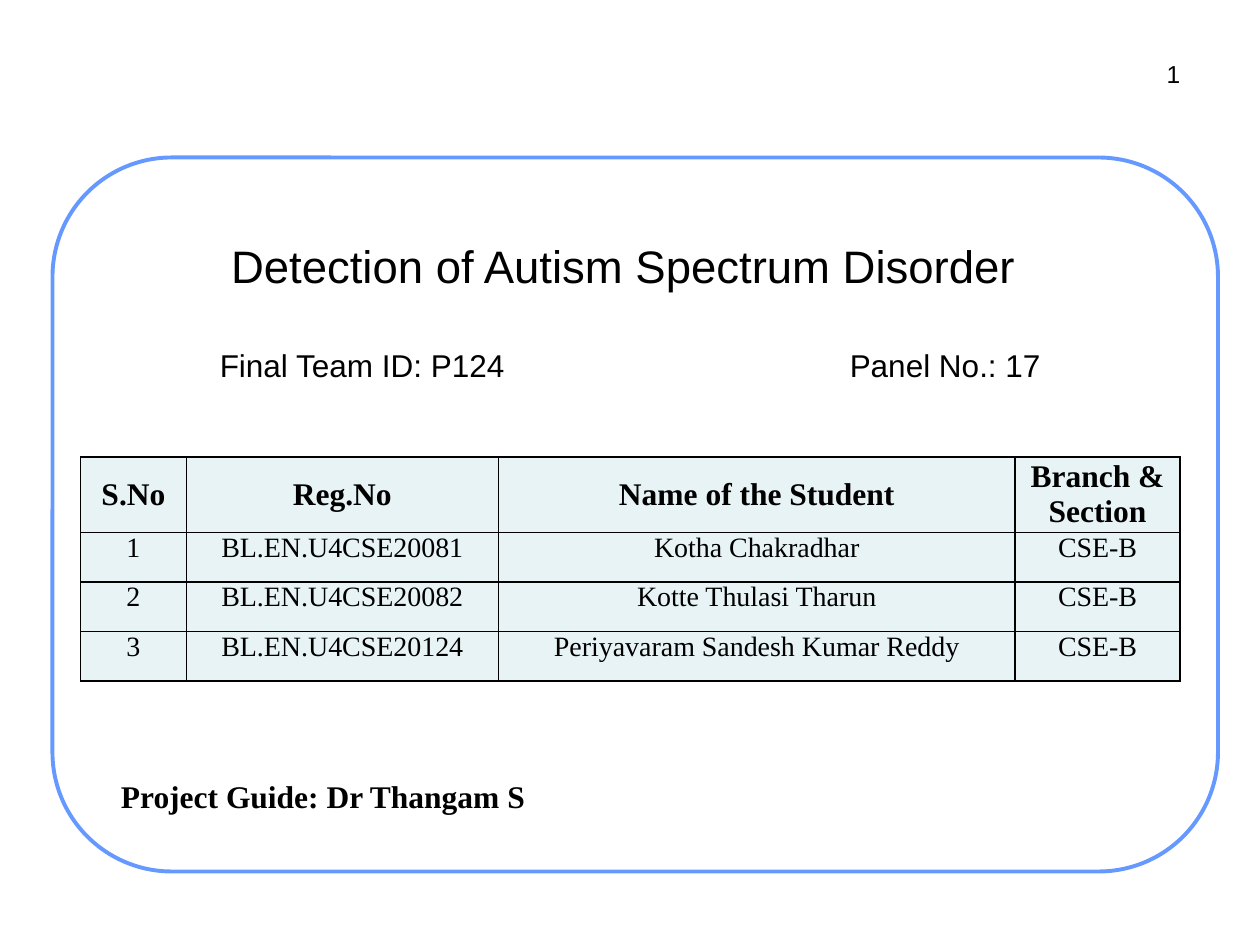
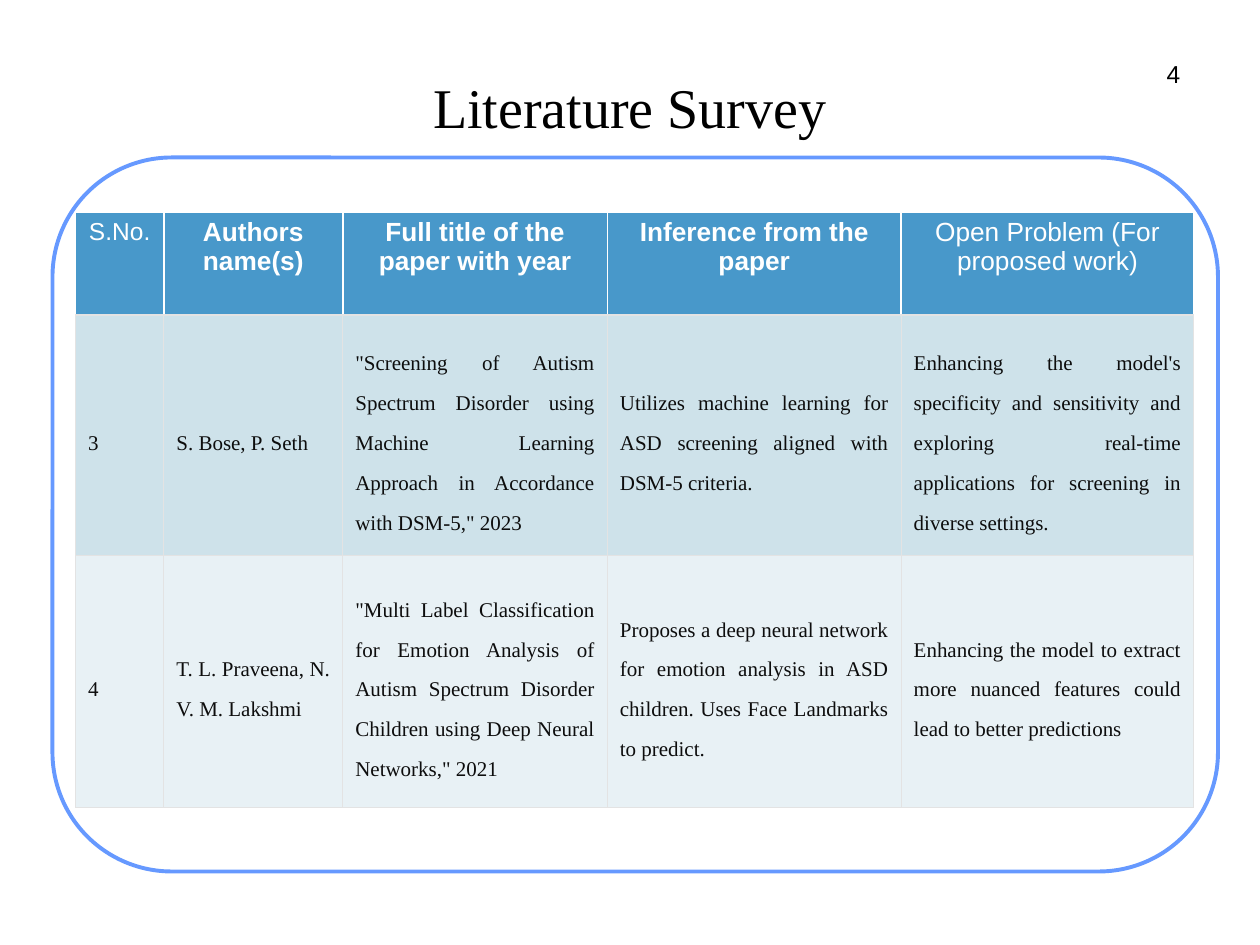
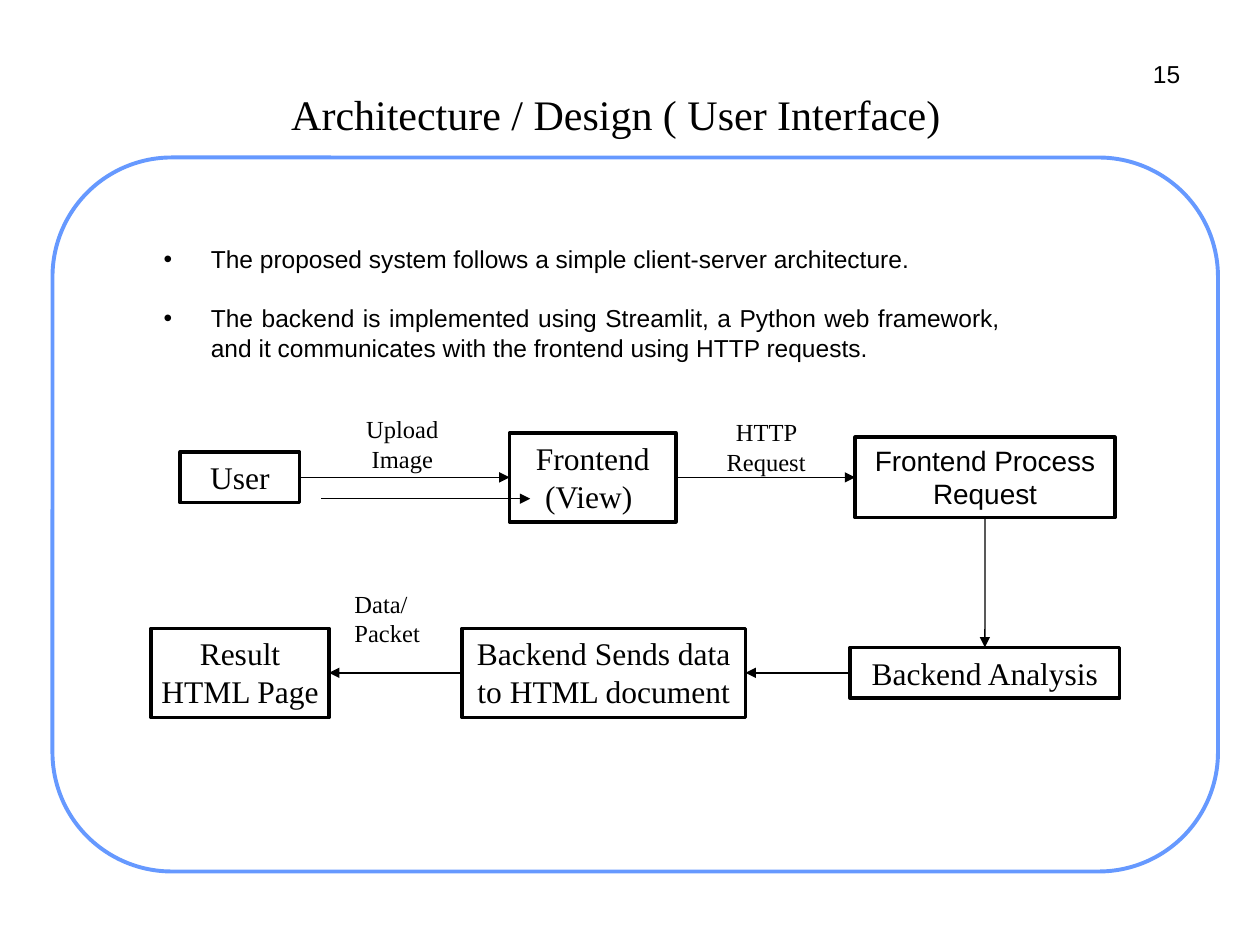
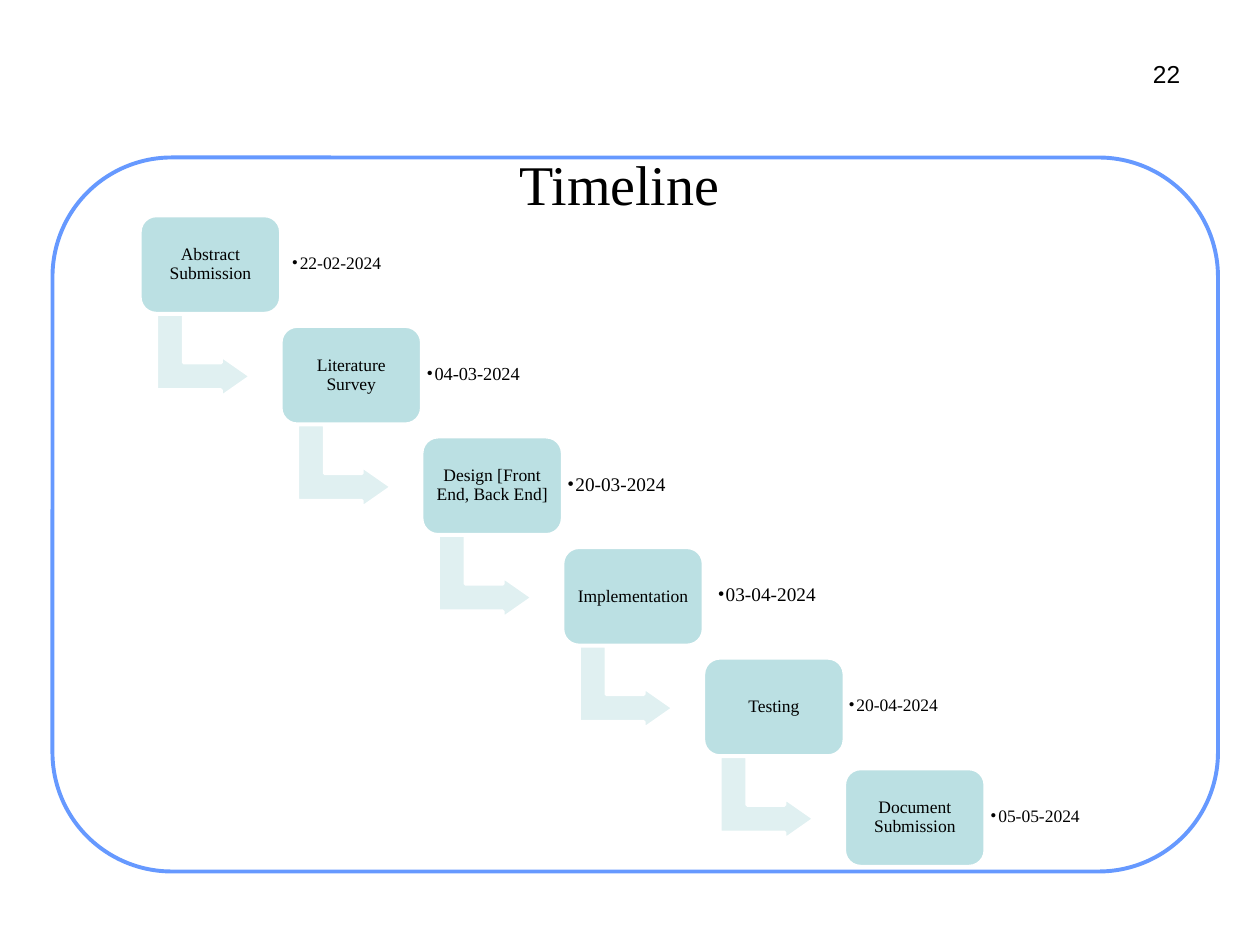
from lxml import etree
from pptx import Presentation
from pptx.dml.color import RGBColor
from pptx.enum.shapes import MSO_CONNECTOR, MSO_SHAPE
from pptx.enum.text import MSO_ANCHOR, PP_ALIGN
from pptx.oxml.ns import qn
from pptx.util import Pt

LEFT, MID, RIGHT, FULL = PP_ALIGN.LEFT, PP_ALIGN.CENTER, PP_ALIGN.RIGHT, PP_ALIGN.JUSTIFY
TOP, CENTER = MSO_ANCHOR.TOP, MSO_ANCHOR.MIDDLE
RECT, ROUND, BENT = MSO_SHAPE.RECTANGLE, MSO_SHAPE.ROUNDED_RECTANGLE, MSO_SHAPE.BENT_UP_ARROW
STRAIGHT = MSO_CONNECTOR.STRAIGHT
NORTH, WEST, SOUTH, EAST = range(4)
SANS, SERIF = "Arial", "Times New Roman"
BLACK, WHITE, INK, GRID = "000000", "FFFFFF", "0D0D0D", "E3E3E3"
FRAME, HEAD, ODD, EVEN = "6699FF", "4898CA", "CEE2EA", "E8F1F5"
PALE, STEP, BEND = "E7F3F4", "BBE0E3", "E0F0F1"


def color(code):
    """Turn a hex string into a colour."""
    return RGBColor.from_string(code)


def add(parent, tag, **attrs):
    """Append a drawing element with its attributes."""
    return etree.SubElement(parent, qn("a:" + tag), attrs)


def paint(parent, code):
    """Append a solid fill."""
    add(add(parent, "solidFill"), "srgbClr", val=code)


def edge(cell, sides):
    """Draw cell borders from a map of side to colour and width."""
    props = cell._tc.get_or_add_tcPr()
    for side, (code, width) in sides.items():
        paint(add(props, "ln" + side, w=str(int(Pt(width)))), code)


def bullet(par, left, hang, face):
    """Give a paragraph a black bullet with a hanging indent."""
    props = par._p.get_or_add_pPr()
    props.set("marL", str(int(Pt(left))))
    props.set("indent", str(-int(Pt(hang))))
    add(add(props, "buClr"), "srgbClr", val=BLACK)
    add(props, "buFont", typeface=face)
    add(props, "buChar", char="•")


def tabs(par, *stops):
    """Set left tab stops."""
    row = add(par._p.get_or_add_pPr(), "tabLst")
    for stop in stops:
        add(row, "tab", pos=str(int(Pt(stop))), algn="l")


def style(pars, size, face=SERIF, tint=BLACK, bold=False, align=MID, space=None):
    """Format paragraphs and their runs."""
    for par in pars:
        par.alignment = align
        if space:
            par.line_spacing = space
        for run in par.runs:
            font = run.font
            font.size, font.name, font.bold = Pt(size), face, bold
            font.color.rgb = color(tint)


class Deck:
    """Holds the style and the current slide."""

    def __init__(self):
        """Start an empty deck."""
        self.file = Presentation()
        self.file.slide_width, self.file.slide_height = Pt(720), Pt(540)
        self.shapes = None

    def page(self, number):
        """Add a slide with the blue frame and its number."""
        self.shapes = self.file.slides.add_slide(self.file.slide_layouts[6]).shapes
        self.shape(ROUND, 30, 90, 666, 408, WHITE, FRAME, 2.25)
        wide = 8 + 7.8 * len(number)
        self.text(number, 678 - wide, 30, wide, 24, 14, face=SANS, align=RIGHT)

    def title(self, text, x, y, w, h, size=32):
        """Add a slide title."""
        return self.text(text, x, y, w, h, size, anchor=CENTER)

    def fill(self, frame, text, size, inset=3.6, anchor=TOP, **look):
        """Put formatted text in a frame."""
        frame.word_wrap, frame.vertical_anchor = True, anchor
        frame.margin_left = frame.margin_right = Pt(inset)
        frame.margin_top = frame.margin_bottom = Pt(min(inset, 3.6))
        frame.text = text
        style(frame.paragraphs, size, **look)
        return frame.paragraphs

    def text(self, text, x, y, w, h, size, **look):
        """Add a text box and return its paragraphs."""
        box = self.shapes.add_textbox(Pt(x), Pt(y), Pt(w), Pt(h))
        return self.fill(box.text_frame, text, size, **look)

    def shape(self, kind, x, y, w, h, fill, line, width, adjust=(0.167,)):
        """Add a preset shape."""
        item = self.shapes.add_shape(kind, Pt(x), Pt(y), Pt(w), Pt(h))
        item.shadow.inherit = False
        item.fill.solid()
        item.fill.fore_color.rgb = color(fill)
        item.line.color.rgb = color(line)
        item.line.width = Pt(width)
        if kind != RECT:
            for i, value in enumerate(adjust):
                item.adjustments[i] = value
        return item

    def node(self, text, x, mid, w, h, size=18, face=SERIF):
        """Add a flow box centred on a row."""
        item = self.shape(RECT, x, mid - h / 2, w, h, WHITE, BLACK, 2)
        self.fill(item.text_frame, text, size, face=face)
        return item

    def arrow(self, x1, y1, x2, y2):
        """Add a straight arrow."""
        item = self.shapes.add_connector(STRAIGHT, Pt(x1), Pt(y1), Pt(x2), Pt(y2))
        item.line.color.rgb = color(BLACK)
        item.line.width = Pt(0.75)
        props = item.element.spPr
        add(props.find(qn("a:ln")), "tailEnd", type="triangle")
        add(props, "effectLst")
        return item

    def link(self, start, out, end, into):
        """Join two flow boxes with an arrow."""
        item = self.arrow(0, 0, 1, 1)
        item.begin_connect(start, out)
        item.end_connect(end, into)

    def table(self, rows, x, y, widths, heights, look):
        """Add a table; look(row, col) gives fill, borders, margins, anchor and font."""
        frame = self.shapes.add_table(len(rows), len(widths), Pt(x), Pt(y),
                                      Pt(sum(widths)), Pt(sum(heights)))
        grid = frame.table
        grid.first_row = grid.horz_banding = False
        for col, width in zip(grid.columns, widths):
            col.width = Pt(width)
        for r, (row, height) in enumerate(zip(rows, heights)):
            grid.rows[r].height = Pt(height)
            for c, text in enumerate(row):
                fill, sides, (side, top), anchor, font = look(r, c)
                cell = grid.cell(r, c)
                edge(cell, sides)
                cell.fill.solid()
                cell.fill.fore_color.rgb = color(fill)
                cell.margin_left = cell.margin_right = Pt(side)
                cell.margin_top = cell.margin_bottom = Pt(top)
                cell.vertical_anchor = anchor
                cell.text_frame.text = text
                style(cell.text_frame.paragraphs, **font)


def team_look(row, col):
    """Style the team table."""
    head = row == 0
    font = {"size": 18 if head else 16, "bold": head}
    return PALE, dict.fromkeys("LRTB", (BLACK, 1)), (0, 0), CENTER if head else TOP, font


def survey_look(row, col):
    """Style the survey table."""
    if row == 0:
        sides = {**dict.fromkeys("LRT", (WHITE, 1)), "B": (GRID, 0.75)}
        font = {"size": 15 if col else 14, "face": SANS, "tint": WHITE, "bold": 0 < col < 4}
        return HEAD, sides, (7.2, 3.6), TOP, font
    font = {"size": 12, "tint": INK, "align": FULL, "space": 1.71}
    sides = dict.fromkeys("LRTB", (GRID, 0.8))
    return ODD if row % 2 else EVEN, sides, (7.2, 7.2), CENTER, font


def cover(deck):
    """Build the team slide."""
    deck.page("1")
    name, team = deck.title("Detection of Autism Spectrum Disorder \n"
                            "\tFinal Team ID: P124\tPanel No.: 17", 57, 102.4, 606, 150.5)
    style([name], 26, SANS)
    tabs(team, 65, 425)
    team.space_before = Pt(31)
    style([team], 18, SANS, align=LEFT)
    people = [
        ("S.No", "Reg.No", "Name of the Student", "Branch & Section"),
        ("1", "BL.EN.U4CSE20081", "Kotha Chakradhar", "CSE-B"),
        ("2", "BL.EN.U4CSE20082", "Kotte Thulasi Tharun", "CSE-B"),
        ("3", "BL.EN.U4CSE20124", "Periyavaram Sandesh Kumar Reddy", "CSE-B"),
    ]
    deck.table(people, 46, 261, (60.5, 178.3, 295.3, 94.2), (40, 28.3, 28.3, 28.3), team_look)
    deck.text("Project Guide: Dr Thangam S", 65.5, 440.3, 379.5, 29, 18, bold=True, align=LEFT)


def survey(deck):
    """Build the literature slide."""
    deck.page("4")
    deck.title("Literature Survey", 90, 29, 540, 63)
    papers = [
        ("S.No.", "Authors name(s)", "Full title of the paper with year",
         "Inference from the paper", "Open Problem (For proposed work)"),
        ("3", "S. Bose, P. Seth",
         '"Screening of Autism Spectrum Disorder using Machine Learning Approach '
         'in Accordance with DSM-5," 2023',
         "Utilizes machine learning for ASD screening aligned with DSM-5 criteria.",
         "Enhancing the model's specificity and sensitivity and exploring real-time "
         "applications for screening in diverse settings."),
        ("4", "T. L. Praveena, N. V. M. Lakshmi",
         '"Multi Label Classification for Emotion Analysis of Autism Spectrum Disorder '
         'Children using Deep Neural Networks," 2021',
         "Proposes a deep neural network for emotion analysis in ASD children. "
         "Uses Face Landmarks to predict.",
         "Enhancing the model to extract more nuanced features could lead to "
         "better predictions"),
    ]
    deck.table(papers, 43.2, 121, (50.4, 102.3, 151.2, 167.9, 167.2), (59, 129, 144),
               survey_look)


def design(deck):
    """Build the architecture slide."""
    deck.page("15")
    deck.title("Architecture / Design ( User Interface) ", 67, 30, 576, 70, 24)
    points = deck.text(
        "The proposed system follows a simple client-server architecture.\n"
        "The backend is implemented using Streamlit, a Python web framework, "
        "and it communicates with the frontend using HTTP requests.",
        86.4, 136, 492.5, 75, 14, face=SANS, align=FULL, inset=7.2)
    for par in points:
        bullet(par, 27, 27, SANS)
    points[1].space_before = Pt(17)
    upper, lower = 272.8, 384.5
    user = deck.node("User", 103, upper, 68.2, 29)
    view = deck.node("Frontend (View) ", 291.2, upper, 95, 51)
    ask = deck.node("Frontend Process Request", 488.7, upper, 148.4, 46, 16, SANS)
    study = deck.node("Backend Analysis", 485.8, lower, 154, 29)
    send = deck.node("Backend Sends data to HTML document", 264, lower, 162, 51)
    result = deck.node("Result HTML Page", 86.4, lower, 101.6, 51)
    deck.link(user, EAST, view, WEST)
    deck.link(view, EAST, ask, WEST)
    deck.link(ask, SOUTH, study, NORTH)
    deck.link(study, WEST, send, EAST)
    deck.link(send, WEST, result, EAST)
    deck.arrow(183.5, 285, 303, 285)
    deck.text("Upload Image", 195.7, 233.2, 68.4, 41, 14)
    deck.text("HTTP Request", 408.3, 235, 59, 41, 14)
    deck.text("Data/ Packet", 199, 333, 55.4, 41, 14, align=LEFT)


def timeline(deck):
    """Build the timeline slide."""
    deck.page("22")
    deck.title("Timeline", 30, 75.6, 648, 58)
    steps = [
        ("Abstract Submission", "22-02-2024", 10, 3.3, 117),
        ("Literature Survey", "04-03-2024", 10.5, -0.8, 143),
        ("Design [Front End, Back End]", "20-03-2024", 11, -0.8, 130),
        ("Implementation", "03-04-2024", 11, 4.6, 127),
        ("Testing", "20-04-2024", 10, -0.6, 123),
        ("Document Submission", "05-05-2024", 10, 0, 86),
    ]
    wide, high = 80.5, 56
    for i, (label, date, size, gap, span) in enumerate(steps):
        x, y = 80 + wide * i, 123.2 + 63.2 * i
        if i < len(steps) - 1:
            bend = deck.shape(BENT, x + 12.6, y + 53, 47.5, 54, BEND, WHITE, 2,
                              (0.328, 0.25, 0.358))
            bend.rotation = 90
        box = deck.shape(ROUND, x, y, wide, high, STEP, WHITE, 2)
        deck.fill(box.text_frame, label, 10, inset=3, anchor=CENTER, space=0.9)
        pars = deck.text(date, x + wide + gap, y + 5, span, 45, size, anchor=CENTER,
                         inset=3 if size == 10 else 3.6, align=LEFT, space=0.9)
        bullet(pars[0], 4.5, 4.5, SERIF)


def main():
    """Build and save the deck."""
    deck = Deck()
    for build in (cover, survey, design, timeline):
        build(deck)
    deck.file.save("out.pptx")


if __name__ == "__main__":
    main()
